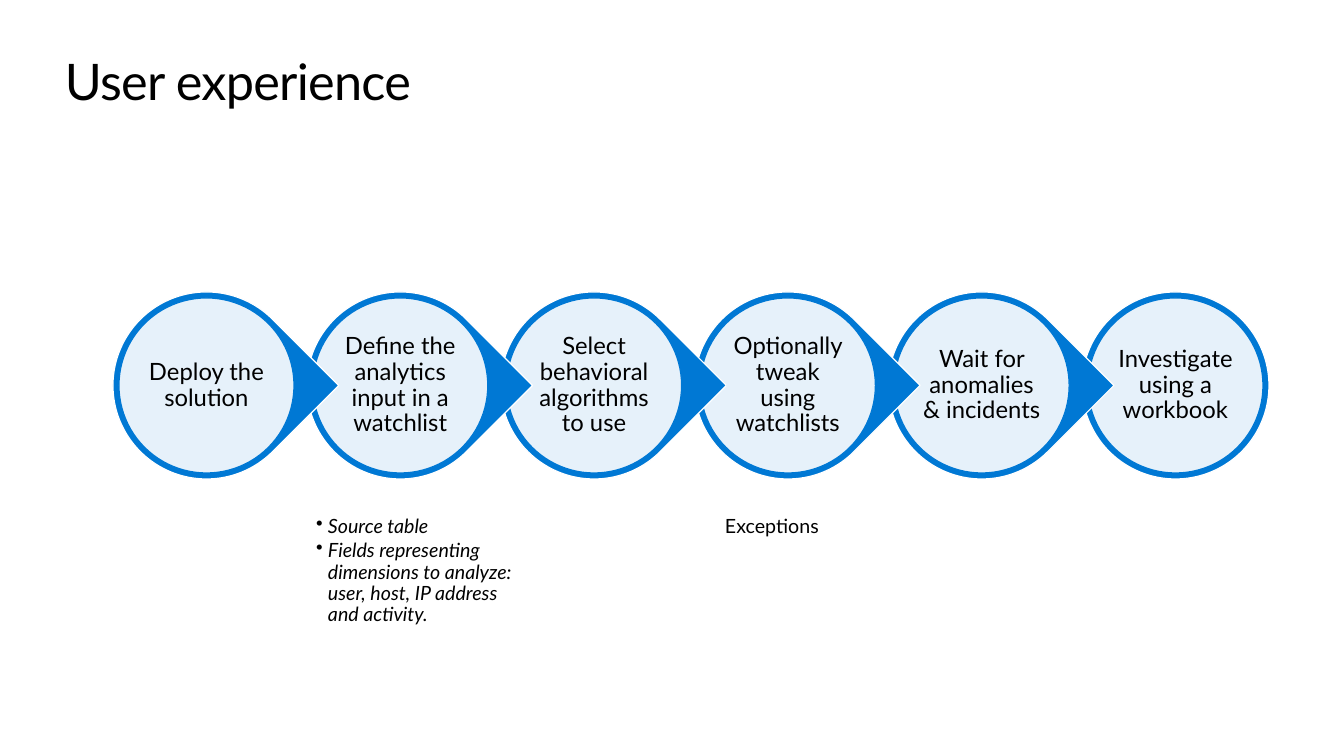
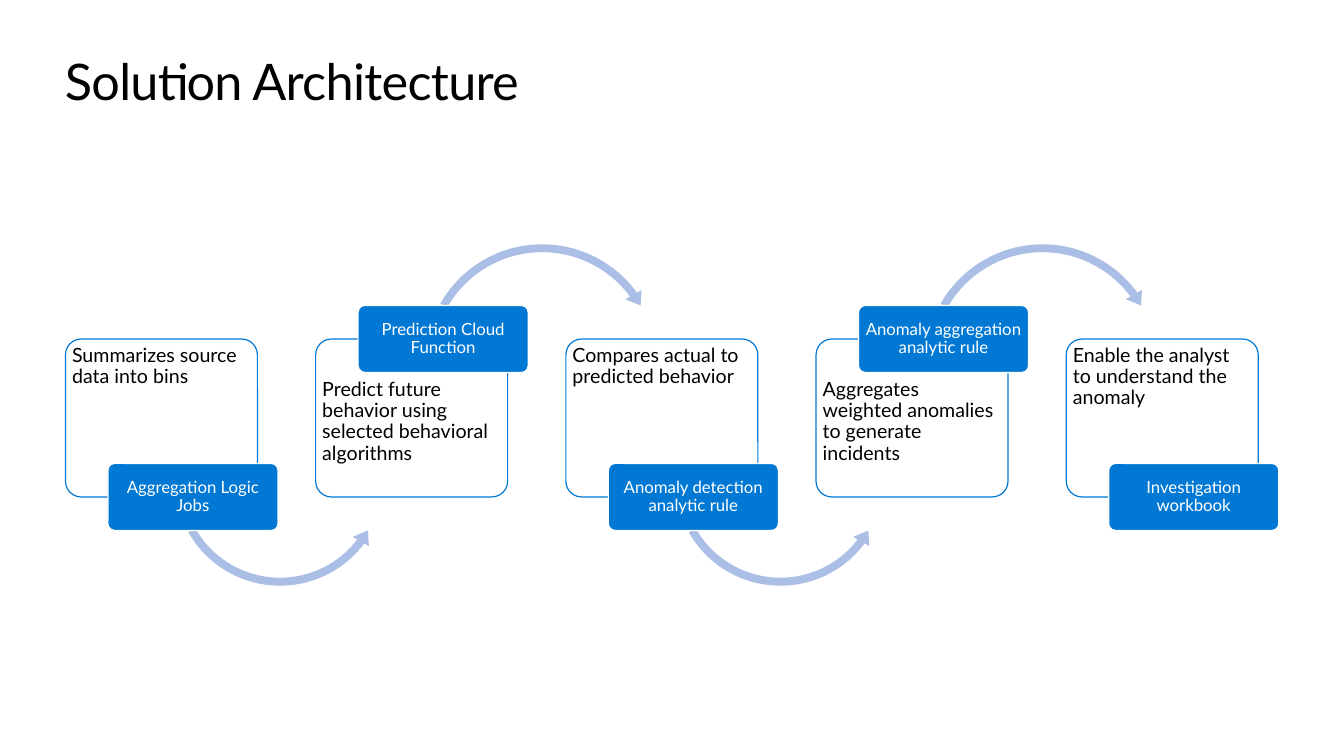
"""Builds two process slides: a chain of steps and a solution architecture."""
from dataclasses import dataclass

from lxml.etree import SubElement
from pptx import Presentation
from pptx.dml.color import RGBColor
from pptx.enum.shapes import MSO_SHAPE as Shape
from pptx.enum.text import MSO_ANCHOR as Anchor, PP_ALIGN as Align
from pptx.oxml.ns import qn
from pptx.util import Pt

EXPERIENCE = {
    "title": "User experience",
    "steps": [
        "Deploy the solution",
        "Define the analytics input in a watchlist",
        "Select behavioral algorithms to use",
        "Optionally tweak using watchlists",
        "Wait for anomalies & incidents",
        "Investigate using a workbook",
    ],
    "inputs": [
        "Source table",
        "Fields representing dimensions to analyze: user, host, IP address and activity.",
    ],
    "tweaks": ["Exceptions"],
}
ARCHITECTURE = {
    "title": "Solution Architecture",
    "stages": [
        ("Aggregation Logic Jobs", "Summarizes source data into bins"),
        ("Prediction Cloud Function",
         "Predict future behavior using selected behavioral algorithms"),
        ("Anomaly detection analytic rule", "Compares actual to predicted behavior"),
        ("Anomaly aggregation analytic rule",
         "Aggregates weighted anomalies to generate incidents"),
        ("Investigation workbook", "Enable the analyst to understand the anomaly"),
    ],
}


@dataclass(frozen=True)
class Theme:
    font: str = "Lato"
    ink: str = "000000"
    paper: str = "FFFFFF"
    accent: str = "0078D4"
    arrow: str = "ABBEE6"
    title: int = 36
    step: int = 17
    body: int = 14
    label: int = 12
    outline: float = 0.85
    tint_alpha: int = 90
    leading: float = 0.9


THEME = Theme()
EMU_PER_PX = 914400 / 100.8


def px(length):
    return round(length * EMU_PER_PX)


def write(target, lines, size, color=THEME.ink, align=Align.LEFT, anchor=Anchor.TOP,
          margins=(0, 0, 0, 0), leading=THEME.leading, italic=False):
    frame = target.text_frame
    frame.text = "\n".join(lines)
    frame.word_wrap = True
    frame.vertical_anchor = anchor
    (frame.margin_left, frame.margin_top,
     frame.margin_right, frame.margin_bottom) = map(px, margins)
    for paragraph in frame.paragraphs:
        paragraph.alignment = align
        paragraph.line_spacing = leading
        for run in paragraph.runs:
            run.font.name = THEME.font
            run.font.size = Pt(size)
            run.font.italic = italic
            run.font.color.rgb = RGBColor.from_string(color)
    return frame


def add_text(slide, box, lines, size, **style):
    return write(slide.shapes.add_textbox(*map(px, box)), lines, size, **style)


def add_figure(slide, kind, box, fill, line=None, alpha=None, adjustments=()):
    figure = slide.shapes.add_shape(kind, *map(px, box))
    figure.shadow.inherit = False
    figure.fill.solid()
    figure.fill.fore_color.rgb = RGBColor.from_string(fill)
    if alpha:
        tint = figure.fill._xPr.find(qn("a:solidFill"))[0]
        SubElement(tint, qn("a:alpha")).set("val", str(alpha * 1000))
    if line:
        figure.line.color.rgb = RGBColor.from_string(line)
        figure.line.width = Pt(THEME.outline)
    else:
        figure.line.fill.background()
    for index, value in enumerate(adjustments):
        figure.adjustments[index] = value
    return figure


def add_bullets(frame, indent):
    for paragraph in frame.paragraphs:
        paragraph.space_after = Pt(2)
        properties = paragraph._p.get_or_add_pPr()
        properties.set("marL", str(px(indent)))
        properties.set("indent", str(-px(indent)))
        SubElement(properties, qn("a:buChar")).set("char", "\u2022")


def add_titled_slide(deck, title):
    slide = deck.slides.add_slide(deck.slide_layouts[6])
    frame = add_text(slide, (65, 50, 1215, 61), [title], THEME.title, leading=1.0)
    frame.paragraphs[0].runs[0].font._element.set("spc", "-50")
    return slide


def build_experience(deck):
    slide = add_titled_slide(deck, EXPERIENCE["title"])
    steps = EXPERIENCE["steps"]
    left, right, top, size, rim = 113, 1269, 292, 187, 6
    pitch = (right - left - size) / (len(steps) - 1)
    disc_size = size - 2 * rim
    for index, step in reversed(list(enumerate(steps))):
        x = left + index * pitch
        is_last = index == len(steps) - 1
        ring = add_figure(slide, Shape.OVAL if is_last else Shape.TEAR,
                          (x, top, size, size), THEME.accent, THEME.paper)
        ring.rotation = 0 if is_last else 45
        disc = add_figure(slide, Shape.OVAL, (x + rim, top + rim, disc_size, disc_size),
                          THEME.paper, THEME.accent, THEME.tint_alpha)
        write(disc, [step], THEME.step, align=Align.CENTER, anchor=Anchor.MIDDLE,
              margins=(2, 2, 2, 2))
    note = dict(size=THEME.body, margins=(6, 6, 6, 6))
    inputs = add_text(slide, (310, 511, 221, 102), EXPERIENCE["inputs"], italic=True, **note)
    add_bullets(inputs, 12)
    add_text(slide, (719, 511, 174, 102), EXPERIENCE["tweaks"], **note)


def build_architecture(deck):
    slide = add_titled_slide(deck, ARCHITECTURE["title"])
    stages = ARCHITECTURE["stages"]
    left, top, pitch, width, height = 65.5, 339, 250.2, 192, 158
    label_shift, label_width, label_height = 42.5, 170, 67
    swing_below = (Shape.LEFT_CIRCULAR_ARROW, 370, 221, (0.036, 4.458, 22.214, 90.245, 0.042))
    swing_above = (Shape.CIRCULAR_ARROW, 239, 245, (0.032, 3.98, 194.265, 125.755, 0.038))
    for index, (label, summary) in enumerate(stages):
        x = left + index * pitch
        is_raised = index % 2 == 1
        card = add_figure(slide, Shape.ROUNDED_RECTANGLE, (x, top, width, height),
                          THEME.paper, THEME.accent, THEME.tint_alpha, (0.1,))
        write(card, [summary], THEME.body, margins=(2, 36 if is_raised else 2, 2, 2))
        if index < len(stages) - 1:
            kind, arrow_top, size, bend = swing_above if is_raised else swing_below
            add_figure(slide, kind, (x + 104, arrow_top, size, size), THEME.arrow,
                       adjustments=bend)
        label_top = (top if is_raised else top + height) - label_height / 2
        plate = add_figure(slide, Shape.ROUNDED_RECTANGLE,
                           (x + label_shift, label_top, label_width, label_height),
                           THEME.accent, THEME.paper, adjustments=(0.1,))
        write(plate, [label], THEME.label, THEME.paper, Align.CENTER, Anchor.MIDDLE,
              (3, 2, 3, 2))


def main():
    deck = Presentation()
    deck.slide_width, deck.slide_height = px(1344), px(756)
    build_experience(deck)
    build_architecture(deck)
    deck.save("out.pptx")


main()
